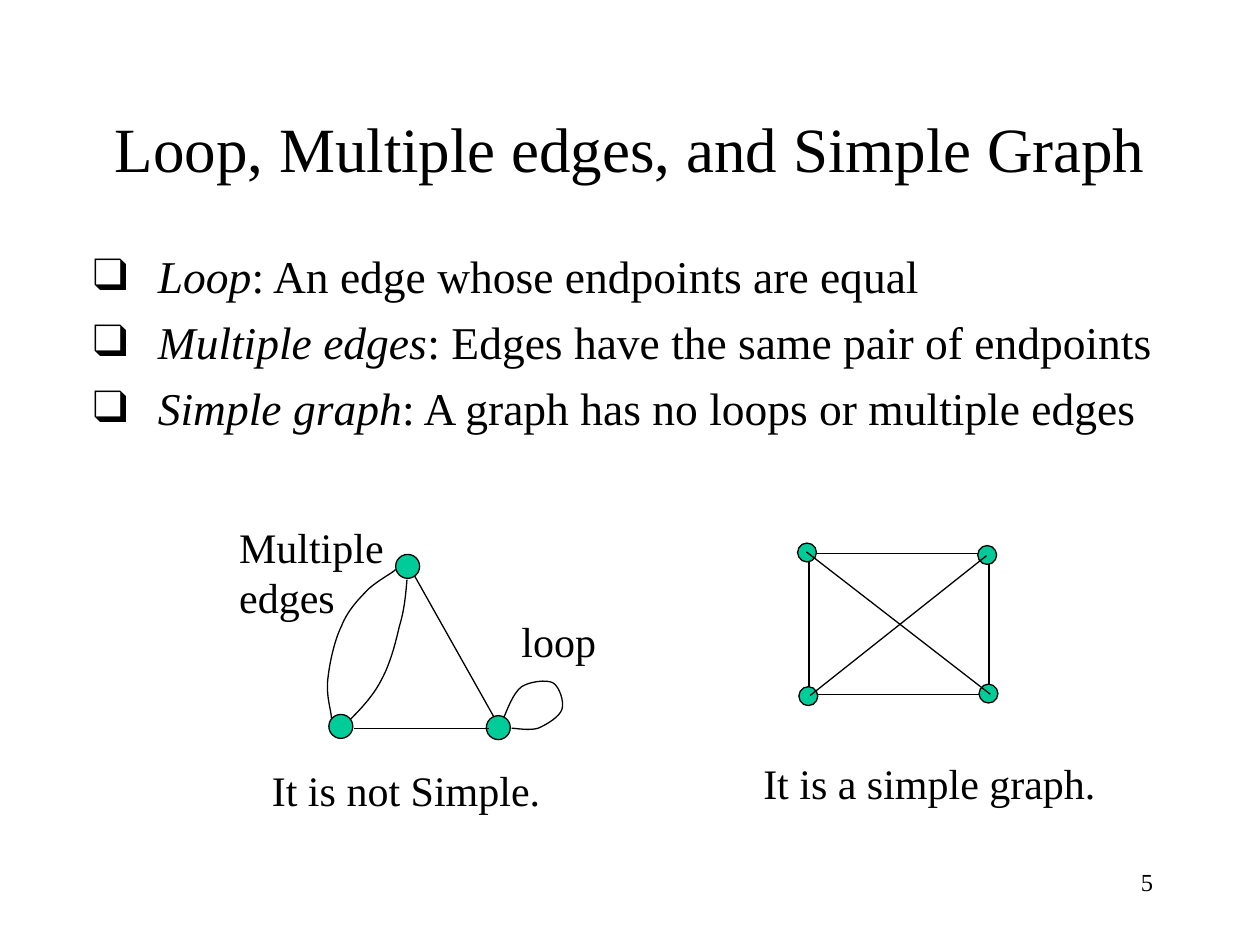
from lxml.etree import SubElement
from pptx import Presentation
from pptx.dml.color import RGBColor
from pptx.enum.shapes import MSO_CONNECTOR, MSO_SHAPE
from pptx.enum.text import MSO_ANCHOR, MSO_AUTO_SIZE, PP_ALIGN
from pptx.oxml.ns import qn
from pptx.util import Inches, Pt

COLORS = {"ink": "000000", "node": "00CC99", "paper": "FFFFFF"}
FONT = "Times New Roman"
COLUMNS, ROWS = 100, 75


class GraphSlide:
    def __init__(self):
        self.deck = Presentation()
        self.deck.slide_width, self.deck.slide_height = Inches(10), Inches(7.5)
        self.page = self.deck.slides.add_slide(self.deck.slide_layouts[5])
        self.page.background.fill.solid()
        self.page.background.fill.fore_color.rgb = self.color("paper")

    def color(self, name):
        return RGBColor.from_string(COLORS[name])

    def point(self, columns, rows):
        return (
            round(self.deck.slide_width * columns / COLUMNS),
            round(self.deck.slide_height * rows / ROWS),
        )

    def area(self, left, top, width, height):
        return *self.point(left, top), *self.point(width, height)

    def style(self, para, size):
        for span in para.runs:
            span.font.name, span.font.size = FONT, Pt(size)
            span.font.color.rgb = self.color("ink")

    def title(self, text, area):
        box = self.page.shapes.title
        box.left, box.top, box.width, box.height = self.area(*area)
        frame = box.text_frame
        frame.text = text
        frame.auto_size = MSO_AUTO_SIZE.NONE
        frame.vertical_anchor = MSO_ANCHOR.MIDDLE
        frame.paragraphs[0].alignment = PP_ALIGN.CENTER
        self.style(frame.paragraphs[0], 36)

    def label(self, text, area, size=24, align=PP_ALIGN.LEFT, wrap=True):
        frame = self.page.shapes.add_textbox(*self.area(*area)).text_frame
        frame.word_wrap = wrap
        frame.text = text
        for para in frame.paragraphs:
            para.alignment = align
            self.style(para, size)

    def definitions(self, entries, area):
        frame = self.page.shapes.add_textbox(*self.area(*area)).text_frame
        frame.word_wrap = True
        for index, (term, meaning) in enumerate(entries):
            para = frame.add_paragraph() if index else frame.paragraphs[0]
            self.bullet(para)
            if index:
                para.space_before = Pt(6.5)
            para.add_run().text = term
            para.add_run().text = f": {meaning}"
            self.style(para, 26)
            para.runs[0].font.italic = True

    def bullet(self, para):
        properties = para._p.get_or_add_pPr()
        hang = self.point(5.15, 0)[0]
        properties.set("marL", str(hang))
        properties.set("indent", str(-hang))
        tint = SubElement(properties, qn("a:buClr"))
        SubElement(tint, qn("a:srgbClr"), val=COLORS["ink"])
        SubElement(properties, qn("a:buFont"), typeface=FONT)
        SubElement(properties, qn("a:buChar"), char="❑")

    def group(self):
        return self.page.shapes.add_group_shape().shapes

    def outline(self, shape, fill=None):
        shape.shadow.inherit = False
        if fill:
            shape.fill.solid()
            shape.fill.fore_color.rgb = self.color(fill)
        else:
            shape.fill.background()
        self.stroke(shape)

    def stroke(self, shape):
        shape.line.color.rgb = self.color("ink")
        shape.line.width = Pt(0.75)

    def frame(self, group, area):
        self.outline(group.add_shape(MSO_SHAPE.RECTANGLE, *self.area(*area)))

    def nodes(self, group, corners, size):
        for left, top in corners:
            node = group.add_shape(MSO_SHAPE.OVAL, *self.area(left, top, size, size))
            self.outline(node, "node")

    def edge(self, group, start, end):
        line = group.add_connector(
            MSO_CONNECTOR.STRAIGHT, *self.point(*start), *self.point(*end)
        )
        self.stroke(line)
        SubElement(line._element.spPr, qn("a:effectLst"))

    def curve(self, group, start, *controls):
        builder = group.build_freeform(*self.point(*start))
        builder.add_line_segments([self.point(*spot) for spot in controls], close=False)
        shape = builder.convert_to_shape()
        steps = list(shape._element.iter(qn("a:lnTo")))
        outline = steps[0].getparent()
        for first in range(0, len(steps), 3):
            bezier = SubElement(outline, qn("a:cubicBezTo"))
            for step in steps[first:first + 3]:
                bezier.append(step[0])
                outline.remove(step)
        self.outline(shape)


def main():
    slide = GraphSlide()
    slide.title("Loop, Multiple edges, and Simple Graph", (7.5, 6.7, 85, 10))
    slide.definitions(
        [
            ("Loop", "An edge whose endpoints are equal"),
            ("Multiple edges", "Edges have the same pair of endpoints"),
            ("Simple graph", "A graph has no loops or multiple edges"),
        ],
        (6.4, 19.2, 88.7, 47.5),
    )
    slide.label("loop", (40.4, 48.35, 8.9, 5))
    slide.label("Multiple\nedges", (18, 40.9, 14.3, 9), wrap=False)
    slide.label("It is not Simple.", (20.6, 60.15, 24.3, 5))
    slide.label("It is a simple graph.", (59.6, 59.6, 29.6, 5))

    simple = slide.group()
    slide.frame(simple, (64.2, 43.9, 14.3, 11.2))
    corners = [(77.6, 43.3), (63.3, 43.1), (77.7, 54.3), (63.4, 54.5)]
    slide.nodes(simple, corners, 1.5)
    slide.edge(simple, (64.3, 55.2), (78.3, 44.1))
    slide.edge(simple, (64, 43.8), (78.6, 55.1))

    multiple = slide.group()
    slide.nodes(multiple, [(31.4, 44), (26.1, 56.7), (38.6, 56.8)], 1.9)
    slide.edge(multiple, (28.1, 57.8), (38.8, 57.8))
    slide.edge(multiple, (32.9, 45.7), (39.2, 56.9))
    slide.curve(
        multiple, (31.4, 45.2),
        (31.1, 45.5), (30.1, 46), (29.3, 46.7),
        (28.6, 47.4), (27.6, 48.4), (27.1, 49.7),
        (26.5, 50.9), (26.1, 52.9), (26, 54.1),
        (25.9, 55.4), (26.3, 56.4), (26.3, 57),
    )
    slide.curve(
        multiple, (32.3, 46),
        (32.2, 47.2), (32.1, 48.4), (31.7, 49.7),
        (31.4, 51), (31, 52.6), (30.3, 53.9),
        (29.7, 55.1), (28.8, 56.1), (27.8, 57.1),
    )
    slide.curve(
        multiple, (40, 56.9),
        (40.2, 56.5), (40.7, 55), (41.4, 54.5),
        (42, 54.1), (43.4, 53.9), (43.9, 54.2),
        (44.4, 54.5), (44.8, 55.7), (44.6, 56.3),
        (44.4, 56.9), (43.4, 57.5), (42.7, 57.8),
        (42, 58), (41, 57.8), (40.6, 57.8),
    )
    slide.label("5", (71.7, 68.3, 20.8, 5), size=14, align=PP_ALIGN.RIGHT)
    slide.deck.save("out.pptx")


if __name__ == "__main__":
    main()
